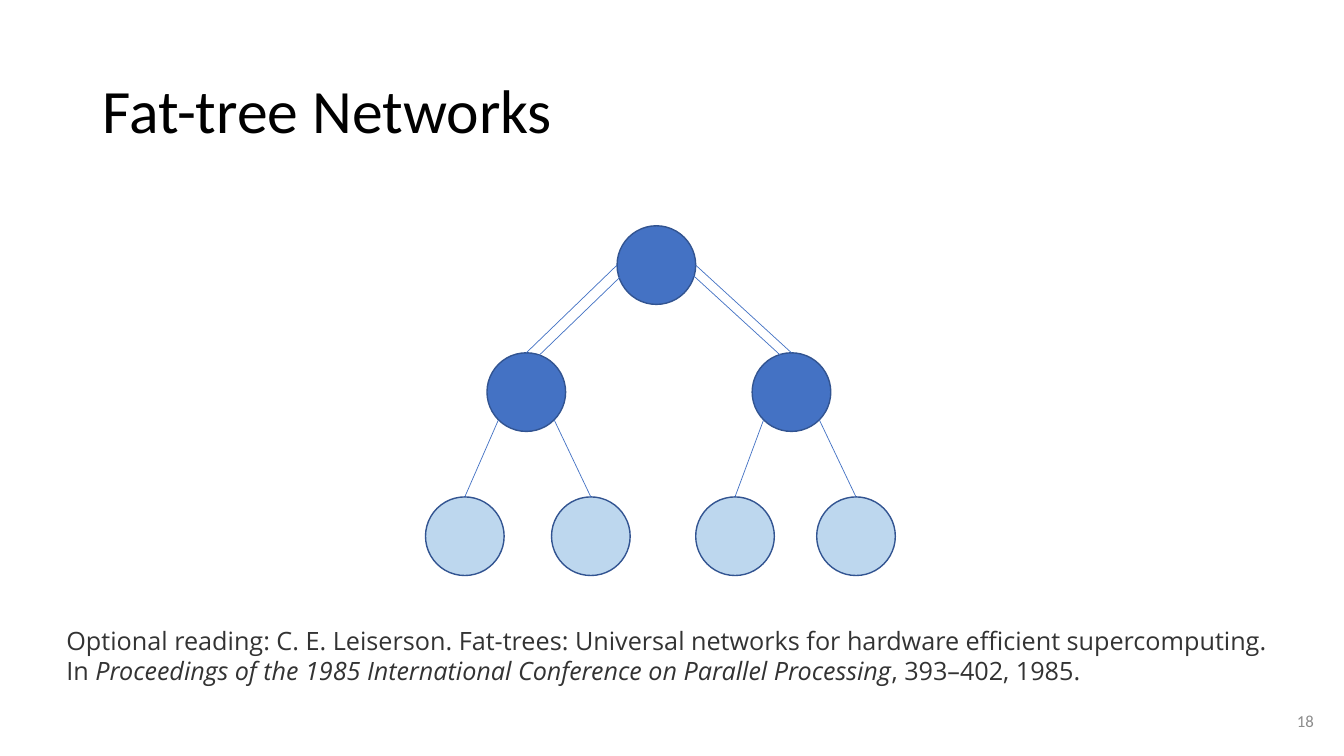
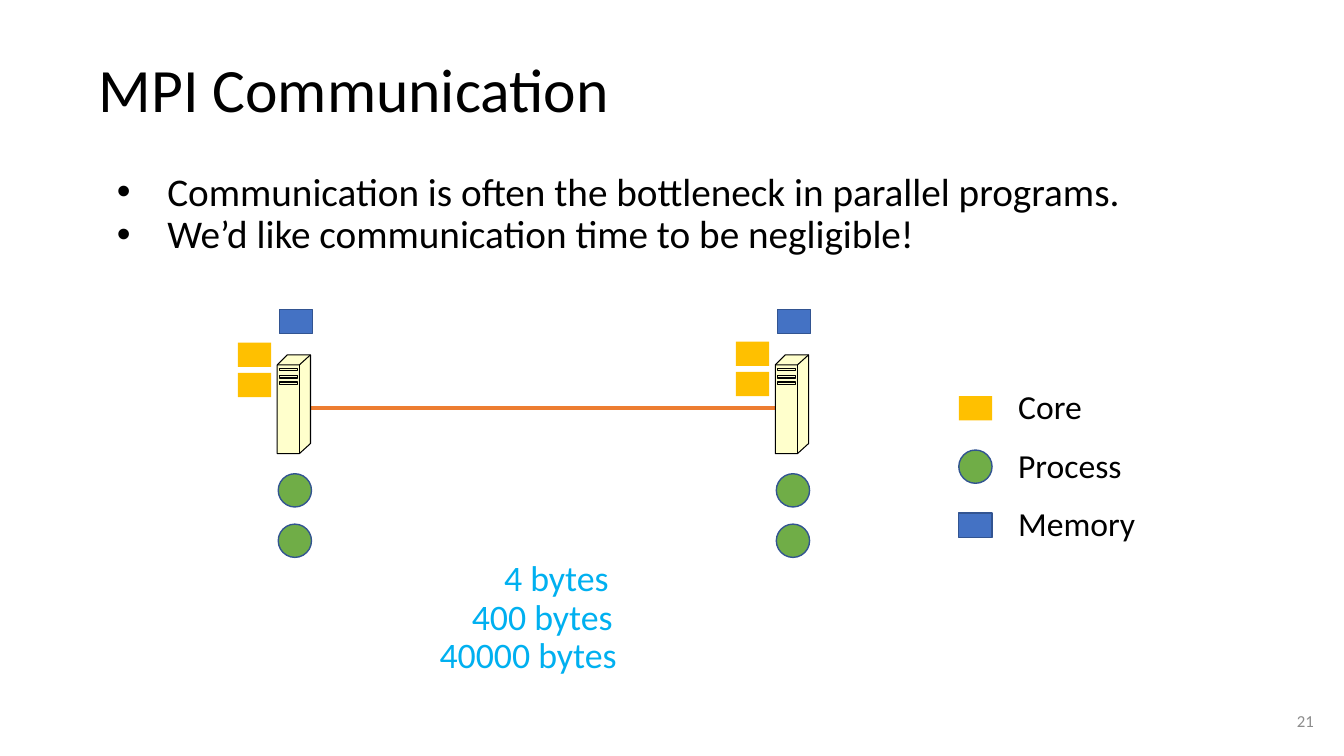
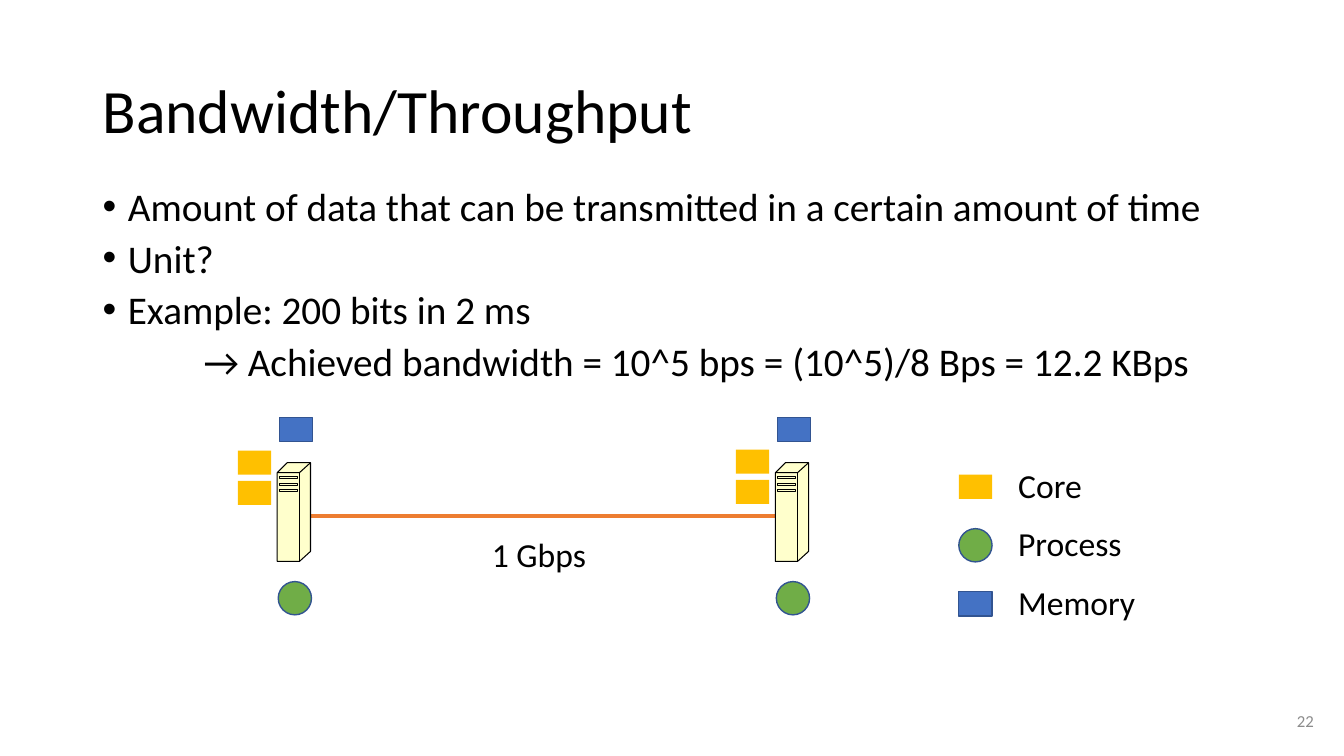
from lxml import etree
from pptx import Presentation
from pptx.dml.color import RGBColor
from pptx.enum import shapes, text
from pptx.oxml.ns import qn
from pptx.util import Inches, Pt

# Shared style
BLACK = RGBColor(0x00, 0x00, 0x00)
CHARCOAL = RGBColor(0x33, 0x33, 0x33)
GRAY = RGBColor(0x8C, 0x8C, 0x8C)
BLUE = RGBColor(0x44, 0x72, 0xC4)
DARK_BLUE = RGBColor(0x32, 0x54, 0x91)
PALE_BLUE = RGBColor(0xBD, 0xD7, 0xEE)
SKY_BLUE = RGBColor(0x00, 0xB0, 0xF0)
GREEN = RGBColor(0x70, 0xAD, 0x47)
GOLD = RGBColor(0xFF, 0xC0, 0x00)
ORANGE = RGBColor(0xED, 0x7D, 0x31)
CREAM = RGBColor(0xFF, 0xFF, 0xCC)
FONT = "Calibri"
CITATION_FONT = "Open Sans"
THIN_INSETS = (0.06, 0.03)
OVAL = shapes.MSO_SHAPE.OVAL
RECTANGLE = shapes.MSO_SHAPE.RECTANGLE

# Network parts: shape, fill, outline, width, height
CORE = (RECTANGLE, GOLD, None, 0.33, 0.24)
PROCESS = (OVAL, GREEN, DARK_BLUE, 0.33, 0.33)
MEMORY = (RECTANGLE, BLUE, DARK_BLUE, 0.33, 0.24)
TOWER_LEFTS = (2.75, 7.69)
TOWER_WIDTH, TOWER_HEIGHT = 0.33, 0.98

NODE_SIZE = 0.78


# Text
def add_text(slide, box, lines, size, color=BLACK, font=FONT, insets=(0.1, 0.05),
             anchor=text.MSO_ANCHOR.TOP, align=None, spacing=None, before=None,
             wrap=True):
    """Each line is (string, left margin, first-line indent, has bullet)."""
    frame = slide.shapes.add_textbox(*map(Inches, box)).text_frame
    frame.word_wrap = wrap
    frame.vertical_anchor = anchor
    frame.margin_left = frame.margin_right = Inches(insets[0])
    frame.margin_top = frame.margin_bottom = Inches(insets[1])
    for index, (string, margin, indent, bullet) in enumerate(lines):
        paragraph = frame.add_paragraph() if index else frame.paragraphs[0]
        properties = paragraph._p.get_or_add_pPr()
        properties.set("marL", str(Inches(margin)))
        properties.set("indent", str(Inches(indent)))
        if bullet:
            etree.SubElement(properties, qn("a:buFont"), typeface="Arial")
            etree.SubElement(properties, qn("a:buChar"), char="•")
        paragraph.alignment = align
        paragraph.line_spacing = spacing
        if before:
            paragraph.space_before = Pt(before)
        paragraph.font.name = font
        paragraph.font.size = Pt(size)
        paragraph.font.color.rgb = color
        paragraph.add_run().text = string
    return frame


def plain(string):
    return [(string, 0, 0, False)]


def add_slide(presentation, title, number, title_height=1.45, insets=(0.1, 0.05)):
    slide = presentation.slides.add_slide(presentation.slide_layouts[6])
    middle = text.MSO_ANCHOR.MIDDLE
    add_text(slide, (0.92, 0.4, 11.5, title_height), plain(title), 44,
             insets=insets, anchor=middle, spacing=0.9)
    add_text(slide, (9.42, 6.95, 3.71, 0.4), plain(number), 12, GRAY,
             anchor=middle, align=text.PP_ALIGN.RIGHT)
    return slide


# Shapes and lines
def style_shape(shape, fill, outline, weight=1):
    shape.shadow.inherit = False
    if fill is None:
        shape.fill.background()
    else:
        shape.fill.solid()
        shape.fill.fore_color.rgb = fill
    if outline is None:
        shape.line.fill.background()
    else:
        shape.line.color.rgb = outline
        shape.line.width = Pt(weight)


def add_part(slide, part, left, top):
    kind, fill, outline, width, height = part
    shape = slide.shapes.add_shape(kind, *map(Inches, (left, top, width, height)))
    style_shape(shape, fill, outline)


def add_line(slide, start, end, color, weight):
    line = slide.shapes.add_connector(shapes.MSO_CONNECTOR.STRAIGHT,
                                      *map(Inches, (*start, *end)))
    line.line.color.rgb = color
    line.line.width = Pt(weight)
    etree.SubElement(line._element.spPr, qn("a:effectLst"))


def add_outline(slide, left, top, strokes, fill, closed):
    strokes = [[(Inches(left + x), Inches(top + y)) for x, y in stroke]
               for stroke in strokes]
    builder = slide.shapes.build_freeform(*strokes[0][0])
    for index, stroke in enumerate(strokes):
        if index:
            builder.move_to(*stroke[0])
        builder.add_line_segments(stroke[1:], close=closed)
    style_shape(builder.convert_to_shape(), fill, BLACK, 0.75)


# Network diagram
def add_tower(slide, left, top):
    width, height, depth, front = TOWER_WIDTH, TOWER_HEIGHT, 0.1, 0.22
    body = [(0, depth), (depth, 0), (width, 0), (width, height - depth),
            (front, height), (0, height)]
    edges = [[(0, depth), (front, depth), (width, 0)],
             [(front, depth), (front, height)]]
    slots = [[(0.02, y), (0.2, y), (0.2, y + 0.02), (0.02, y + 0.02), (0.02, y)]
             for y in (0.14, 0.21, 0.27)]
    add_outline(slide, left, top, [body], CREAM, True)
    add_outline(slide, left, top, edges + slots, None, False)


def add_network(slide, top, process_count):
    cable_y = top + 0.53
    add_line(slide, (TOWER_LEFTS[0], cable_y),
             (TOWER_LEFTS[1] + TOWER_WIDTH, cable_y), ORANGE, 3)
    for left, core_offset in zip(TOWER_LEFTS, (-0.12, -0.13)):
        add_tower(slide, left, top)
        add_part(slide, MEMORY, left + 0.02, top - 0.45)
        for row in range(2):
            add_part(slide, CORE, left - 0.39, top + core_offset + 0.3 * row)
        for row in range(process_count):
            add_part(slide, PROCESS, left + 0.01, top + 1.18 + 0.5 * row)


def add_legend(slide, top):
    entries = (("Core", CORE), ("Process", PROCESS), ("Memory", MEMORY))
    for row, (label, part) in enumerate(entries):
        row_top = top + 0.58 * row
        add_part(slide, part, 9.51, row_top + 0.27 - part[4] / 2)
        add_text(slide, (10, row_top, 1.37, 0.5), plain(label), 24)


# Fat tree
def add_fat_tree(slide):
    radius = NODE_SIZE / 2
    diagonal = radius * 0.71
    root = (6.51, 2.63)
    # Switch centre, leaf centres, offset of the second root link
    branches = (((5.22, 3.89), (4.61, 5.86), (0.06, 0.09)),
                ((7.85, 3.89), (7.29, 8.49), (-0.06, 0.07)))
    leaf_y = 5.32

    def add_node(center, fill):
        node = (OVAL, fill, DARK_BLUE, NODE_SIZE, NODE_SIZE)
        add_part(slide, node, center[0] - radius, center[1] - radius)

    add_node(root, BLUE)
    for side, (switch, leaves, (dx, dy)) in zip((-1, 1), branches):
        add_node(switch, BLUE)
        start = (root[0] + side * radius, root[1])
        end = (switch[0], switch[1] - radius)
        add_line(slide, start, end, BLUE, 0.5)
        add_line(slide, (start[0] + dx, start[1] + dy),
                 (end[0] + dx, end[1] + dy), BLUE, 0.5)
        for leaf_side, leaf_x in zip((-1, 1), leaves):
            add_node((leaf_x, leaf_y), PALE_BLUE)
            add_line(slide, (switch[0] + leaf_side * diagonal, switch[1] + diagonal),
                     (leaf_x, leaf_y - radius), BLUE, 0.5)


# Slides
def build_fat_tree_slide(presentation):
    slide = add_slide(presentation, "Fat-tree Networks", "18")
    add_fat_tree(slide)
    frame = add_text(
        slide, (0.56, 6.15, 12.15, 1.01),
        plain("Optional reading: C. E. Leiserson. Fat-trees: Universal networks "
              "for hardware efficient supercomputing. In "),
        18, CHARCOAL, CITATION_FONT)
    venue = frame.paragraphs[0].add_run()
    venue.text = ("Proceedings of the 1985 International Conference on "
                  "Parallel Processing")
    venue.font.italic = True
    frame.paragraphs[0].add_run().text = ", 393–402, 1985."


def build_communication_slide(presentation):
    slide = add_slide(presentation, "MPI Communication", "21", 1.03, THIN_INSETS)
    points = ("Communication is often the bottleneck in parallel programs.",
              "We’d like communication time to be negligible!")
    add_text(slide, (0.92, 1.68, 11.5, 1.22),
             [(point, 0.68, -0.5, True) for point in points], 28,
             insets=THIN_INSETS, spacing=0.9)
    add_network(slide, 3.52, 2)
    add_legend(slide, 3.78)
    sizes = ("4 bytes", "400 bytes", "40000 bytes")
    add_text(slide, (4.12, 5.53, 2.56, 1.49),
             [(size, 0.82 - 0.32 * row, 0, False) for row, size in enumerate(sizes)],
             25.6, SKY_BLUE, insets=THIN_INSETS, spacing=0.9)


def build_bandwidth_slide(presentation):
    slide = add_slide(presentation, "Bandwidth/Throughput", "22")
    points = ("Amount of data that can be transmitted in a certain amount of time",
              "Unit?", "Example: 200 bits in 2 ms")
    lines = [(point, 0.25, -0.25, True) for point in points]
    lines.append(("→ Achieved bandwidth = 10^5 bps = (10^5)/8 Bps = 12.2 KBps",
                  1, 0, False))
    add_text(slide, (0.92, 1.85, 11.31, 2.02), lines, 28, spacing=0.8, before=10)
    add_network(slide, 4.59, 1)
    add_legend(slide, 4.56)
    add_text(slide, (4.78, 5.25, 1.14, 0.5), plain("1 Gbps"), 24, wrap=False)


def main():
    presentation = Presentation()
    presentation.slide_width = Inches(13.33)
    presentation.slide_height = Inches(7.5)
    build_fat_tree_slide(presentation)
    build_communication_slide(presentation)
    build_bandwidth_slide(presentation)
    presentation.save("out.pptx")


if __name__ == "__main__":
    main()
